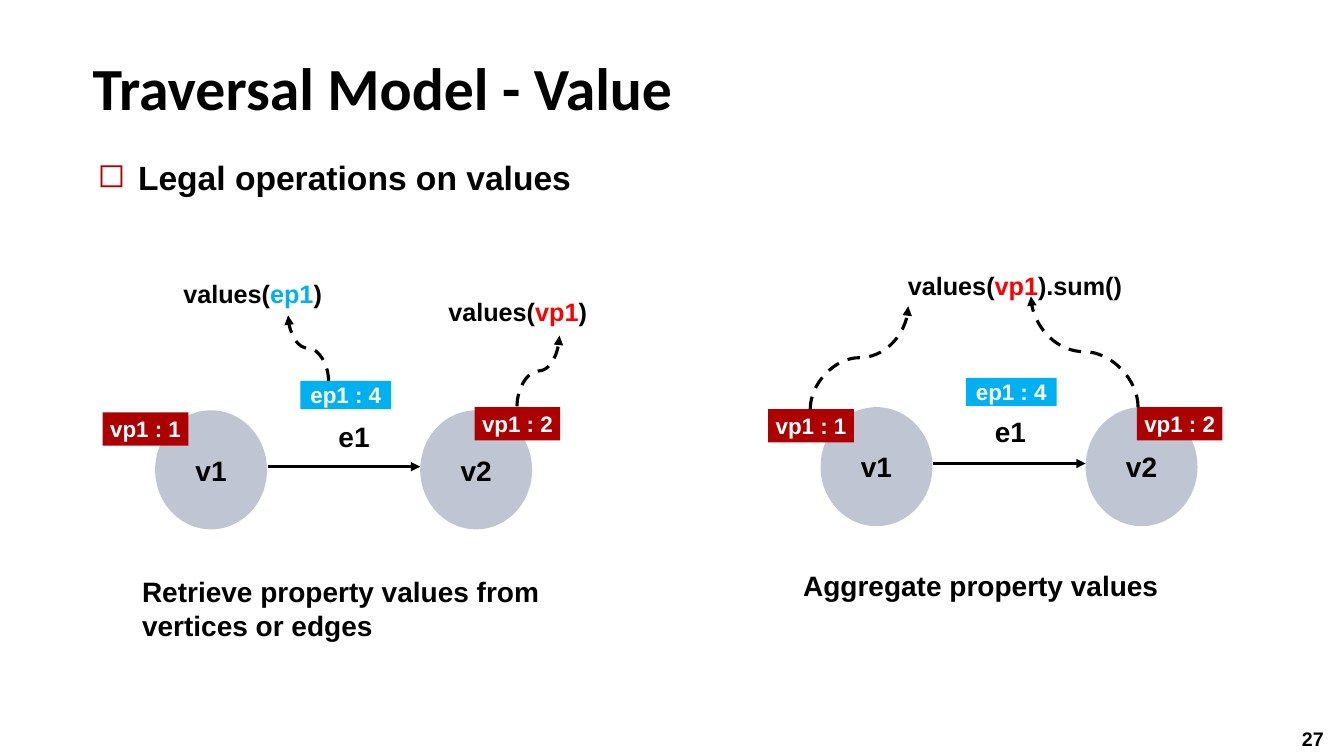
from lxml import etree
from pptx import Presentation
from pptx.dml.color import RGBColor
from pptx.enum.dml import MSO_LINE
from pptx.enum.shapes import MSO_CONNECTOR, MSO_SHAPE
from pptx.enum.text import MSO_ANCHOR, PP_ALIGN
from pptx.oxml.ns import qn
from pptx.util import Cm, Pt

STRAIGHT, CURVE = MSO_CONNECTOR.STRAIGHT, MSO_CONNECTOR.CURVE
OVAL, RECT = MSO_SHAPE.OVAL, MSO_SHAPE.RECTANGLE
DASH = MSO_LINE.DASH
MIDDLE, BOTTOM = MSO_ANCHOR.MIDDLE, MSO_ANCHOR.BOTTOM
CENTER, LEFT = PP_ALIGN.CENTER, PP_ALIGN.LEFT
BLACK, WHITE, RED, DARK, BLUE, GRAY = (
    "000000", "FFFFFF", "FF0000", "AD0101", "00B0F0", "808DA9")

deck = Presentation()
deck.slide_width, deck.slide_height = Cm(33.87), Cm(19.05)
slide = deck.slides.add_slide(deck.slide_layouts[5])
shapes = slide.shapes


def style(run, size, color=BLACK, name="Arial"):
    font = run.font
    font.name, font.size, font.bold = name, Pt(size), True
    font.color.rgb = RGBColor.from_string(color)


def arrow(kind, *ends):
    link = shapes.add_connector(kind, *[Cm(end) for end in ends])
    link.line.color.rgb = RGBColor.from_string(BLACK)
    link.line.width = Pt(2.25)
    etree.SubElement(link.line._get_or_add_ln(), qn("a:tailEnd"), type="triangle")
    etree.SubElement(link._element.spPr, qn("a:effectLst"))
    return link


title = shapes.title
title.left, title.top, title.width, title.height = Cm(2.08), Cm(0.86), Cm(31), Cm(2.36)
frame = title.text_frame
frame.text = "Traversal Model - Value"
frame.vertical_anchor = BOTTOM
para = frame.paragraphs[0]
para.alignment, para.line_spacing = LEFT, Pt(46.7)
style(para.runs[0], 42.7, name="Calibri")

nodes = [
    (3.91, 10.34, (8.28, 10.44), (11.96, 10.26)),
    (20.68, 10.26, (24.82, 10.31), (28.65, 10.26)),
]
texts = [
    (32.56, 18.19, 1.22, 14, [("27", BLACK)]),
    (2.21, 3.84, 30.48, 24, [("Legal operations on values", BLACK)]),
    (3.33, 14.35, 13.08, 20,
     [("Retrieve property values from vertices or edges", BLACK)]),
    (19.99, 14.2, 9.78, 20, [("Aggregate property values", BLACK)]),
    (4.37, 6.88, 4.29, 18, [("values(", BLACK), ("ep1", BLUE), (")", BLACK)]),
    (11.05, 7.34, 4.5, 18, [("values(", BLACK), ("vp1", RED), (")", BLACK)]),
    (22.63, 6.68, 10.64, 18,
     [("values(", BLACK), ("vp1", RED), (").sum()", BLACK)]),
]

for x, y, edge, tag in nodes:
    parts = [
        (OVAL, x, y, 2.82, 3, "v1", GRAY, 20, BLACK),
        (OVAL, x + 6.68, y, 2.82, 3, "v2", GRAY, 20, BLACK),
        (RECT, *tag, 2.16, 0.84, "vp1 : 2", DARK, 16, WHITE),
        (RECT, x + 3.66, y - 0.74, 2.29, 0.71, "ep1 : 4", BLUE, 16, WHITE),
        (RECT, x - 1.32, y + 0.05, 2.16, 0.84, "vp1 : 1", DARK, 16, WHITE),
    ]
    for kind, left, top, wide, high, label, fill, size, color in parts:
        part = shapes.add_shape(kind, Cm(left), Cm(top), Cm(wide), Cm(high))
        part.shadow.inherit = False
        part.fill.solid()
        part.fill.fore_color.rgb = RGBColor.from_string(fill)
        part.line.fill.background()
        if kind == OVAL:
            tint = part._element.spPr.find(".//" + qn("a:srgbClr"))
            etree.SubElement(tint, qn("a:alpha"), val="50000")
        frame = part.text_frame
        frame.text = label
        frame.word_wrap, frame.vertical_anchor = False, MIDDLE
        para = frame.paragraphs[0]
        para.alignment = CENTER
        style(para.runs[0], size, color)
    arrow(STRAIGHT, x + 2.84, y + 1.42, x + 6.68, y + 1.42)
    texts.append((*edge, 1.6, 20, [("e1", BLACK)]))

for left, top, wide, size, runs in texts:
    box = shapes.add_textbox(Cm(left), Cm(top), Cm(wide), Cm(size / 18))
    box.text_frame.word_wrap = True
    para = box.text_frame.paragraphs[0]
    if size == 24:
        props = para._p.get_or_add_pPr()
        props.set("marL", str(Cm(1.02)))
        props.set("indent", str(-Cm(1.02)))
        tint = etree.SubElement(props, qn("a:buClr"))
        etree.SubElement(tint, qn("a:srgbClr"), val=DARK)
        etree.SubElement(props, qn("a:buChar"), char="◻")
    for label, color in runs:
        run = para.add_run()
        run.text = label
        style(run, size, color)

curves = [
    (13.03, 10.24, 14.1, 8.46),
    (20.42, 10.31, 22.89, 7.72),
    (8.28, 9.6, 7.26, 7.95),
    (28.68, 10.26, 25.98, 7.47),
]
for x1, y1, x2, y2 in curves:
    midx, midy = (x1 + x2) / 2, (y1 + y2) / 2
    side = 1 if x2 > x1 else -1
    dx, dy = side * (y1 - y2) / 2, abs(x2 - x1) / 2
    link = arrow(CURVE, midx + dx, midy + dy, midx - dx, midy - dy)
    link.line.dash_style = DASH
    turn = 90 if side > 0 else 270
    link._element.spPr.find(qn("a:xfrm")).set("rot", str(turn * 60000))

deck.save("out.pptx")
